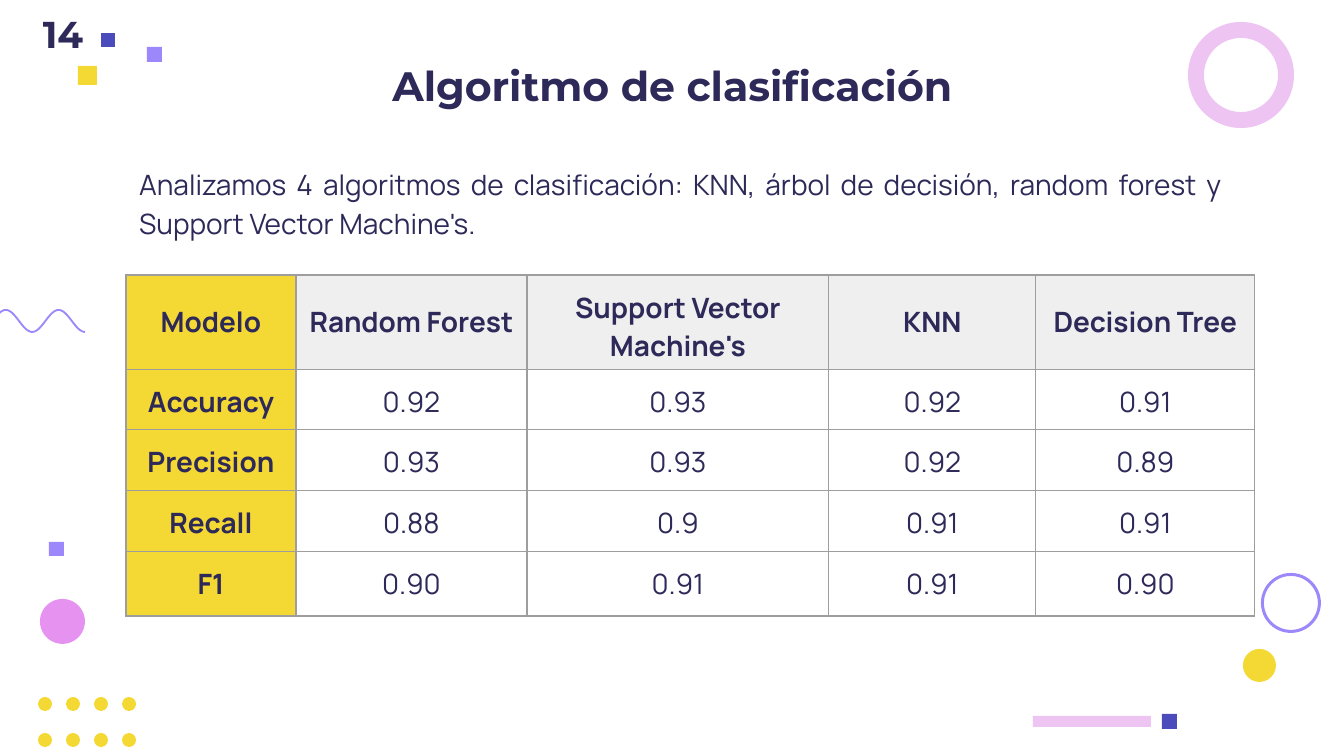
import math
from dataclasses import dataclass

import pptx
import pptx.dml.color
import pptx.enum.shapes
import pptx.enum.text
import pptx.oxml
import pptx.oxml.ns
import pptx.util

PX = 9144000 / 1344
SHAPE = pptx.enum.shapes.MSO_SHAPE
ALIGN = pptx.enum.text.PP_ALIGN
ANCHOR = pptx.enum.text.MSO_ANCHOR


@dataclass(frozen=True)
class Theme:
    ink: str = "2D2958"
    white: str = "FFFFFF"
    yellow: str = "F4D834"
    violet: str = "9C88FA"
    blue: str = "4B4BBB"
    pink: str = "EDC4F2"
    magenta: str = "E592F1"
    grey: str = "EFEFEF"
    border: str = "9E9E9E"
    heading: str = "Montserrat"
    body: str = "Manrope"
    title_pt: int = 22
    number_pt: int = 20
    body_pt: int = 15


T = Theme()
MODELS = ["Modelo", "Random Forest", "Support Vector Machine's", "KNN", "Decision Tree"]
SCORES = [
    ["Accuracy", "0.92", "0.93", "0.92", "0.91"],
    ["Precision", "0.93", "0.93", "0.92", "0.89"],
    ["Recall", "0.88", "0.9", "0.91", "0.91"],
    ["F1", "0.90", "0.91", "0.91", "0.90"],
]


def px(n):
    return pptx.util.Emu(round(n * PX))


def rgb(color):
    return pptx.dml.color.RGBColor.from_string(color)


def paint(fill, color):
    fill.solid()
    fill.fore_color.rgb = rgb(color)


def write(tf, text, align=ALIGN.CENTER, spacing=None, **font):
    p = tf.paragraphs[0]
    p.alignment, p.line_spacing = align, spacing
    r = p.add_run()
    r.text = text
    r.font.color.rgb = rgb(T.ink)
    for name, value in font.items():
        setattr(r.font, name, value)


def add_text(s, box, text, anchor=ANCHOR.MIDDLE, fill=None, **style):
    sp = s.shapes.add_textbox(*map(px, box))
    if fill:
        paint(sp.fill, fill)
    tf = sp.text_frame
    margins = dict.fromkeys(["margin_left", "margin_right", "margin_top", "margin_bottom"],
                            pptx.util.Inches(0.1))
    for name, value in {"word_wrap": True, "vertical_anchor": anchor, **margins}.items():
        setattr(tf, name, value)
    write(tf, text, **style)


def add_mark(s, kind, box, color, ring=None):
    """Place a flat ornament; ring is the band of a donut as a share of its size."""
    sp = s.shapes.add_shape(kind, *map(px, box))
    sp.shadow.inherit = False
    paint(sp.fill, color)
    sp.line.fill.background()
    if ring:
        sp.adjustments[0] = ring


def add_dot_grid(s, box, cols=4, rows=2, size=14):
    x, y, w, h = box
    for row in range(rows):
        for col in range(cols):
            left = x + col * (w - size) / (cols - 1)
            top = y + row * (h - size) / (rows - 1)
            add_mark(s, SHAPE.OVAL, (left, top, size, size), T.yellow)


def add_wave(s, box, periods=2.5, steps=100):
    x, y, w, h = box
    points = [(px(x + w * i / steps),
               px(y + h / 2 * (1 - math.cos(2 * math.pi * periods * i / steps))))
              for i in range(steps + 1)]
    fb = s.shapes.build_freeform(*points[0])
    fb.add_line_segments(points[1:], close=False)
    sp = fb.convert_to_shape()
    sp.shadow.inherit = False
    sp.fill.background()
    sp.line.color.rgb = rgb(T.violet)
    sp.line.width = pptx.util.Pt(1)


def add_ornaments(s, box):
    x, y, w, h = box
    add_dot_grid(s, (x + 38, y + h - 59, 98, 50))
    add_wave(s, (x - 47, y + 310, 132, 22))
    marks = [
        (SHAPE.DONUT, 1188, 22, 106, 106, T.pink, 0.15),
        (SHAPE.DONUT, 1261, 573, 60, 60, T.violet, 0.05),
        (SHAPE.OVAL, 40, 599, 45, 45, T.magenta, None),
        (SHAPE.OVAL, 1243, 649, 33, 33, T.yellow, None),
        (SHAPE.RECTANGLE, 1033, 716, 118, 11, T.pink, None),
        (SHAPE.RECTANGLE, 1162, 714, 15, 15, T.blue, None),
        (SHAPE.RECTANGLE, 78, 66, 19, 19, T.yellow, None),
        (SHAPE.RECTANGLE, 147, 47, 15, 15, T.violet, None),
        (SHAPE.RECTANGLE, 101, 33, 14, 14, T.blue, None),
        (SHAPE.RECTANGLE, 49, 542, 15, 14, T.violet, None),
    ]
    for kind, left, top, width, height, color, ring in marks:
        add_mark(s, kind, (x + left, y + top, width, height), color, ring)


def add_header(s, box):
    x, y, w, h = box
    font = {"name": T.heading, "bold": True}
    add_text(s, (x + 200, y + 7, w - 399, h - 7), "Algoritmo de clasificación",
             fill=T.white, size=pptx.util.Pt(T.title_pt), **font)
    add_text(s, (x, y, 126, 67), "14", size=pptx.util.Pt(T.number_pt), **font)


def add_intro(s, box):
    add_text(s, box, "Analizamos 4 algoritmos de clasificación: KNN, árbol de decisión, "
             "random forest y Support Vector Machine's.", anchor=ANCHOR.TOP, fill=T.white,
             align=ALIGN.JUSTIFY, spacing=1.15, name=T.body, size=pptx.util.Pt(T.body_pt))


def add_borders(cell):
    tcPr = cell._tc.get_or_add_tcPr()
    for i, side in enumerate(["lnL", "lnR", "lnT", "lnB"]):
        tcPr.insert(i, pptx.oxml.parse_xml(
            f'<a:{side} {pptx.oxml.ns.nsdecls("a")} w="9525"><a:solidFill>'
            f'<a:srgbClr val="{T.border}"/></a:solidFill></a:{side}>'))


def add_scores(s, box):
    """Table of scores with a yellow label column and a grey heading row."""
    x, y, w, h = box
    widths = [170, 231, 302, 207]
    heights = [94, 60, 61, 60]
    widths.append(w - sum(widths))
    heights.append(h - sum(heights))
    rows = [MODELS] + SCORES
    table = s.shapes.add_table(len(rows), len(MODELS), *map(px, box)).table
    for col, width in zip(table.columns, widths):
        col.width = px(width)
    for row, height in zip(table.rows, heights):
        row.height = px(height)
    for i, row in enumerate(rows):
        for j, text in enumerate(row):
            cell = table.cell(i, j)
            for side in ("left", "right", "top", "bottom"):
                setattr(cell, f"margin_{side}", pptx.util.Inches(0.1))
            cell.vertical_anchor = ANCHOR.TOP if i else ANCHOR.MIDDLE
            if j == 0 or i == 0:
                paint(cell.fill, T.grey if j else T.yellow)
            else:
                cell.fill.background()
            write(cell.text_frame, text, name=T.body, size=pptx.util.Pt(T.body_pt),
                  bold=i == 0 or j == 0)
            add_borders(cell)


def main():
    prs = pptx.Presentation()
    prs.slide_width, prs.slide_height = px(1344), px(756)
    s = prs.slides.add_slide(prs.slide_layouts[6])
    add_ornaments(s, (0, 0, 1344, 756))
    add_header(s, (0, 0, 1344, 163))
    add_intro(s, (126, 149, 1110, 99))
    add_scores(s, (126, 275, 1129, 340))
    prs.save("out.pptx")


if __name__ == "__main__":
    main()
